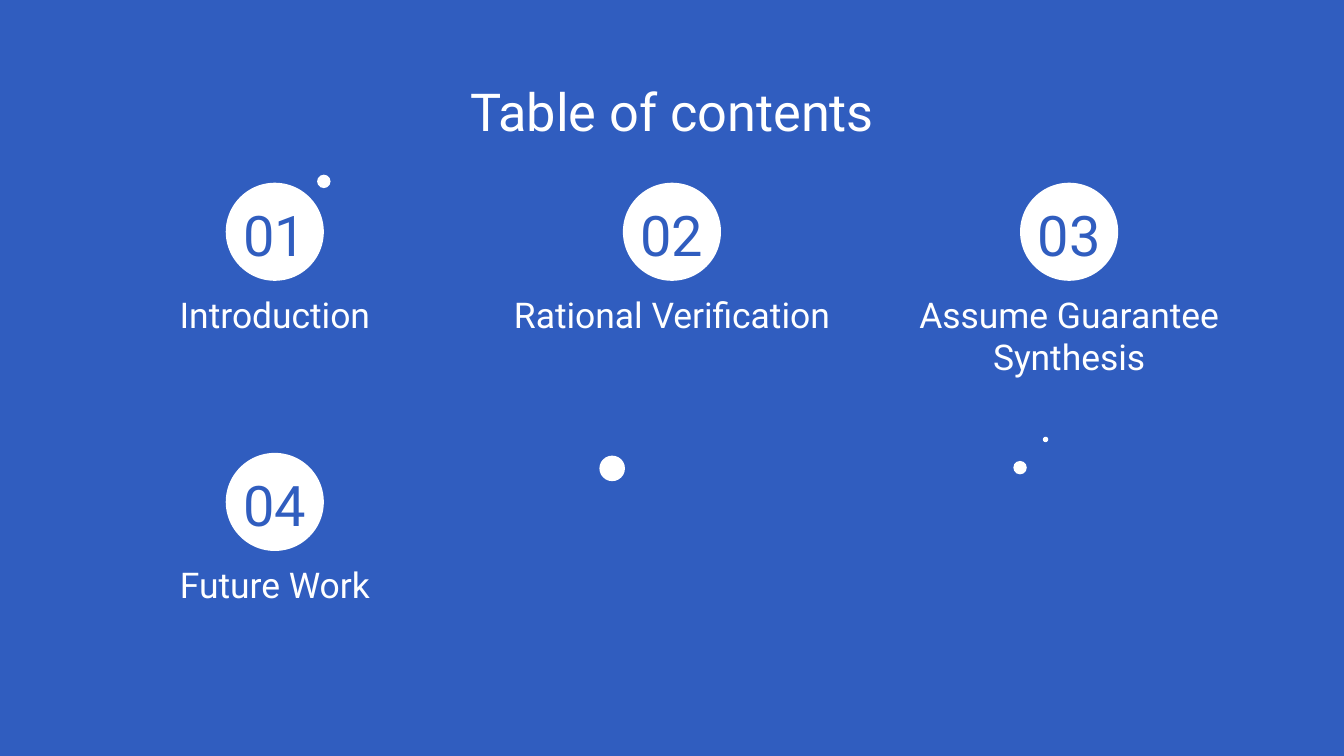
import pptx
import pptx.dml.color
import pptx.enum.shapes
import pptx.enum.text
import pptx.util

BLUE = "305DBF"
WHITE = "FFFFFF"
FONT = "Roboto"

COLUMNS = 3
ENTRY_WIDTH = 2.65
ROW_STEP = 2.01
BADGE_SIZE = 0.73
LABEL_OFFSET, LABEL_HEIGHT = 0.72, 0.46

ENTRIES = ["Introduction", "Rational Verification",
           "Assume Guarantee Synthesis", "Future Work"]

# left, top, diameter
DOTS = [(2.36, 1.3, 0.1), (7.54, 3.43, 0.1), (7.76, 3.25, 0.04), (4.46, 3.39, 0.19)]


def rgb(value):
    return pptx.dml.color.RGBColor.from_string(value)


def box(left, top, width, height):
    """Turn lengths in inches into the position and size of a shape."""
    return [pptx.util.Inches(length) for length in (left, top, width, height)]


def write(holder, text, size, color, anchor=pptx.enum.text.MSO_ANCHOR.TOP):
    """Put one centred paragraph into a text box or placeholder."""
    frame = holder.text_frame
    frame.word_wrap = True
    frame.auto_size = pptx.enum.text.MSO_AUTO_SIZE.NONE
    frame.vertical_anchor = anchor
    frame.margin_left = frame.margin_right = pptx.util.Inches(0.1)
    frame.margin_top = frame.margin_bottom = pptx.util.Inches(0.1)
    paragraph = frame.paragraphs[0]
    paragraph.alignment = pptx.enum.text.PP_ALIGN.CENTER
    run = paragraph.add_run()
    run.text = text
    run.font.name = FONT
    run.font.size = pptx.util.Pt(size)
    run.font.color.rgb = rgb(color)


def add_circle(slide, left, top, diameter):
    circle = slide.shapes.add_shape(
        pptx.enum.shapes.MSO_SHAPE.OVAL, *box(left, top, diameter, diameter))
    circle.shadow.inherit = False
    circle.fill.solid()
    circle.fill.fore_color.rgb = rgb(WHITE)
    circle.line.fill.background()


def add_title(slide, left, top, width, height):
    title = slide.shapes.title
    title.left, title.top, title.width, title.height = box(left, top, width, height)
    write(title, "Table of contents", 28, WHITE)


def add_entry(slide, left, top, width, number, label):
    """Place a numbered badge with its label below, centred in the given width."""
    badge_left = left + (width - BADGE_SIZE) / 2
    add_circle(slide, badge_left, top, BADGE_SIZE)
    badge_number = slide.shapes.add_textbox(*box(badge_left, top, BADGE_SIZE, BADGE_SIZE))
    write(badge_number, f"{number:02d}", 30, BLUE, pptx.enum.text.MSO_ANCHOR.BOTTOM)
    entry_label = slide.shapes.add_textbox(
        *box(left, top + LABEL_OFFSET, width, LABEL_HEIGHT))
    write(entry_label, label, 19, WHITE)


def add_contents(slide, left, top, width):
    """Spread the entries evenly over the columns of the given width."""
    column_step = (width - ENTRY_WIDTH) / (COLUMNS - 1)
    for index, label in enumerate(ENTRIES):
        row, column = divmod(index, COLUMNS)
        add_entry(slide, left + column * column_step, top + row * ROW_STEP,
                  ENTRY_WIDTH, index + 1, label)


def main():
    deck = pptx.Presentation()
    deck.slide_width = pptx.util.Inches(10)
    deck.slide_height = deck.slide_width * 9 // 16
    slide = deck.slides.add_slide(deck.slide_layouts.get_by_name("Title Only"))
    slide.background.fill.solid()
    slide.background.fill.fore_color.rgb = rgb(BLUE)

    add_title(slide, 0.34, 0.49, 9.32, 0.63)
    add_contents(slide, 0.72, 1.36, 8.56)
    for left, top, diameter in DOTS:
        add_circle(slide, left, top, diameter)
    deck.save("out.pptx")


if __name__ == "__main__":
    main()
